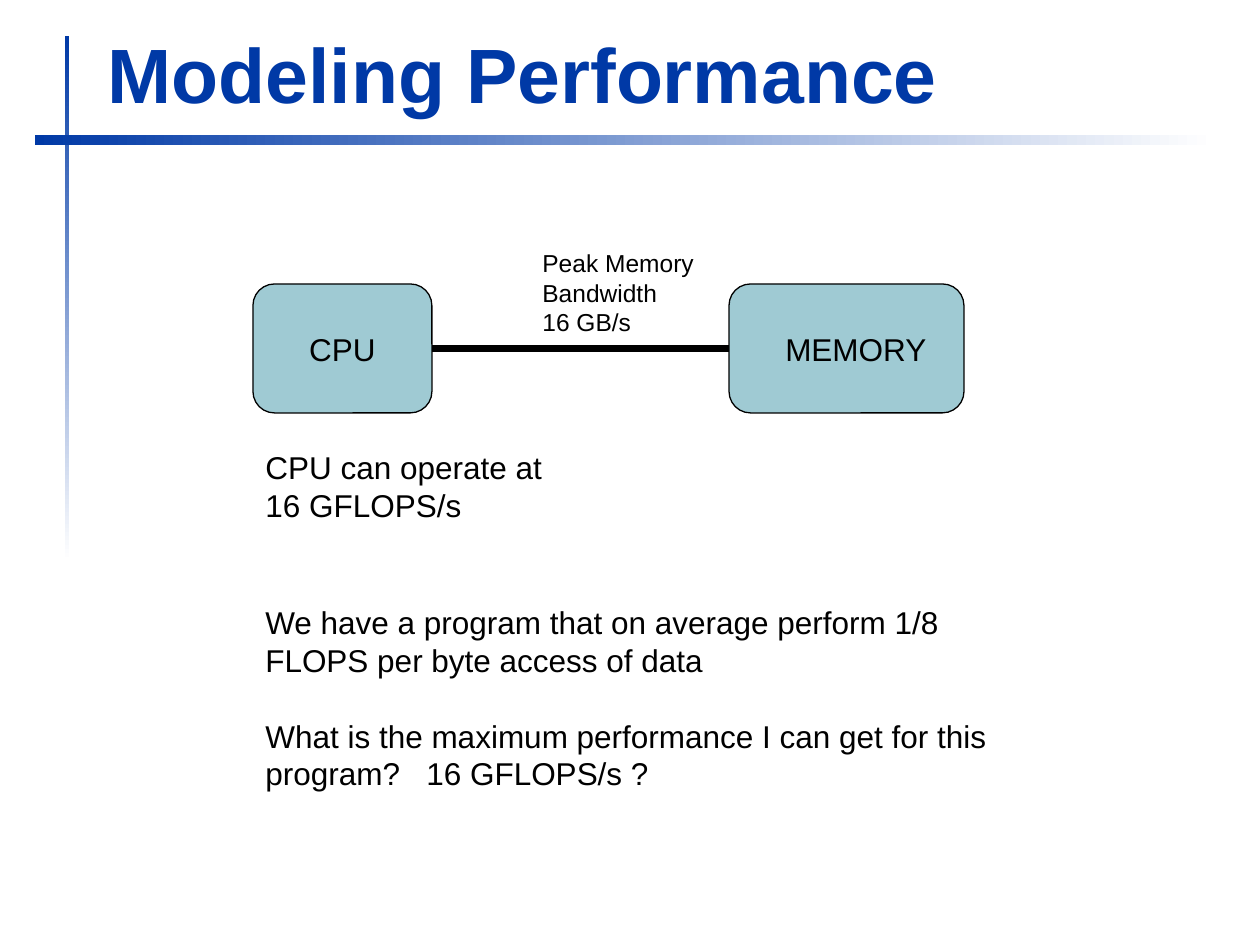
"""Build a slide on modeling performance with a CPU and memory diagram."""
from dataclasses import dataclass

from lxml import etree
from pptx import Presentation
from pptx.dml.color import RGBColor
from pptx.enum.shapes import MSO_CONNECTOR, MSO_SHAPE
from pptx.enum.text import MSO_ANCHOR, MSO_AUTO_SIZE, PP_ALIGN
from pptx.oxml.ns import qn
from pptx.util import Emu, Pt

RECTANGLE = MSO_SHAPE.RECTANGLE
ROUNDED = MSO_SHAPE.ROUNDED_RECTANGLE
STRAIGHT = MSO_CONNECTOR.STRAIGHT
LEFT = PP_ALIGN.LEFT
MIDDLE, BOTTOM = MSO_ANCHOR.MIDDLE, MSO_ANCHOR.BOTTOM
GROW = MSO_AUTO_SIZE.SHAPE_TO_FIT_TEXT
TITLE_ONLY = 5
LEFT_SIDE, RIGHT_SIDE = 1, 3
RIGHTWARD, DOWNWARD = 0, 270
PX_PER_INCH = 126


@dataclass(frozen=True)
class Theme:
    """Colours, font and type sizes of the slide."""

    accent: RGBColor = RGBColor(0x00, 0x39, 0xA6)
    paper: RGBColor = RGBColor(0xFF, 0xFF, 0xFF)
    ink: RGBColor = RGBColor(0x00, 0x00, 0x00)
    block: RGBColor = RGBColor(0x9F, 0xCA, 0xD3)
    font: str = "Arial"
    title_size: int = 44
    body_size: int = 18
    label_size: int = 14
    leading: float = 1.2
    outline: float = 0.75
    bus: float = 3.75


THEME = Theme()


def px(length):
    """Turn whole pixels into EMU."""
    return Emu(round(length * 914400 / PX_PER_INCH))


def place(*box):
    """Turn a pixel box into EMU lengths."""
    return [px(length) for length in box]


def apply(target, values):
    """Set every attribute named in a dict."""
    for name, value in values.items():
        setattr(target, name, value)


def write(frame, lines, size, color=THEME.ink, bold=False, gap=0):
    """Write one paragraph per line, with a gap before all but the first."""
    for index, line in enumerate(lines):
        paragraph = frame.add_paragraph() if index else frame.paragraphs[0]
        paragraph.text = line
        apply(paragraph, {"alignment": LEFT, "space_before": Pt(gap if index else 0)})
        apply(paragraph.font, {"name": THEME.font, "size": Pt(size), "bold": bold})
        paragraph.font.color.rgb = color


def add_title(slide, text, box):
    """Move and format the title placeholder."""
    title = slide.shapes.title
    apply(title, dict(zip(("left", "top", "width", "height"), place(*box))))
    frame = title.text_frame
    apply(frame, {"vertical_anchor": BOTTOM, "auto_size": GROW, "word_wrap": True})
    write(frame, [text], THEME.title_size, THEME.accent, bold=True)


def add_fading_bar(slide, box, angle):
    """Add a bar that fades from the accent colour to the paper."""
    bar = slide.shapes.add_shape(RECTANGLE, *place(*box))
    bar.shadow.inherit = False
    bar.line.fill.background()
    bar.fill.gradient()
    bar.fill.gradient_angle = angle
    for stop, color in zip(bar.fill.gradient_stops, (THEME.accent, THEME.paper)):
        stop.color.rgb = color


def add_block(slide, text, box):
    """Add a rounded hardware block with an indented name."""
    block = slide.shapes.add_shape(ROUNDED, *place(*box))
    block.shadow.inherit = False
    block.fill.solid()
    block.fill.fore_color.rgb = THEME.block
    block.line.color.rgb = THEME.ink
    block.line.width = Pt(THEME.outline)
    apply(block.text_frame, {"vertical_anchor": MIDDLE, "margin_left": px(50)})
    write(block.text_frame, [text], THEME.body_size)
    return block


def add_bus(slide, start, end):
    """Join two blocks with a thick line."""
    bus = slide.shapes.add_connector(STRAIGHT, 0, 0, 0, 0)
    bus.begin_connect(start, RIGHT_SIDE)
    bus.end_connect(end, LEFT_SIDE)
    bus.line.color.rgb = THEME.ink
    bus.line.width = Pt(THEME.bus)
    etree.SubElement(bus.element.spPr, qn("a:effectLst"))


def add_note(slide, lines, box, size=THEME.body_size, gap=0):
    """Add a wrapped text box with even leading."""
    frame = slide.shapes.add_textbox(*place(*box)).text_frame
    apply(frame, {"word_wrap": True, "auto_size": GROW})
    write(frame, lines, size, gap=gap)
    for paragraph in frame.paragraphs:
        paragraph.line_spacing = Pt(size * THEME.leading)


def main():
    """Build and save the presentation."""
    presentation = Presentation()
    apply(presentation, {"slide_width": px(1260), "slide_height": px(945)})
    slide = presentation.slides.add_slide(presentation.slide_layouts[TITLE_ONLY])

    add_fading_bar(slide, (65, 36, 4, 525), DOWNWARD)
    add_fading_bar(slide, (35, 135, 1180, 10), RIGHTWARD)
    add_title(slide, "Modeling Performance", (95, 20, 1138, 105))

    cpu = add_block(slide, "CPU", (253, 284, 179, 129))
    memory = add_block(slide, "MEMORY", (729, 284, 235, 129))
    add_bus(slide, cpu, memory)

    add_note(slide, ["CPU can operate at", "16 GFLOPS/s"], (253, 442, 305, 89))
    add_note(slide, ["Peak Memory Bandwidth", "16 GB/s"],
             (530, 242, 248, 102), THEME.label_size)
    add_note(slide, [
        "We have a program that on average perform 1/8 FLOPS per byte access of data",
        "What is the maximum performance I can get for this program?   16 GFLOPS/s ?",
    ], (253, 597, 794, 204), gap=THEME.body_size * THEME.leading)

    presentation.save("out.pptx")


if __name__ == "__main__":
    main()
